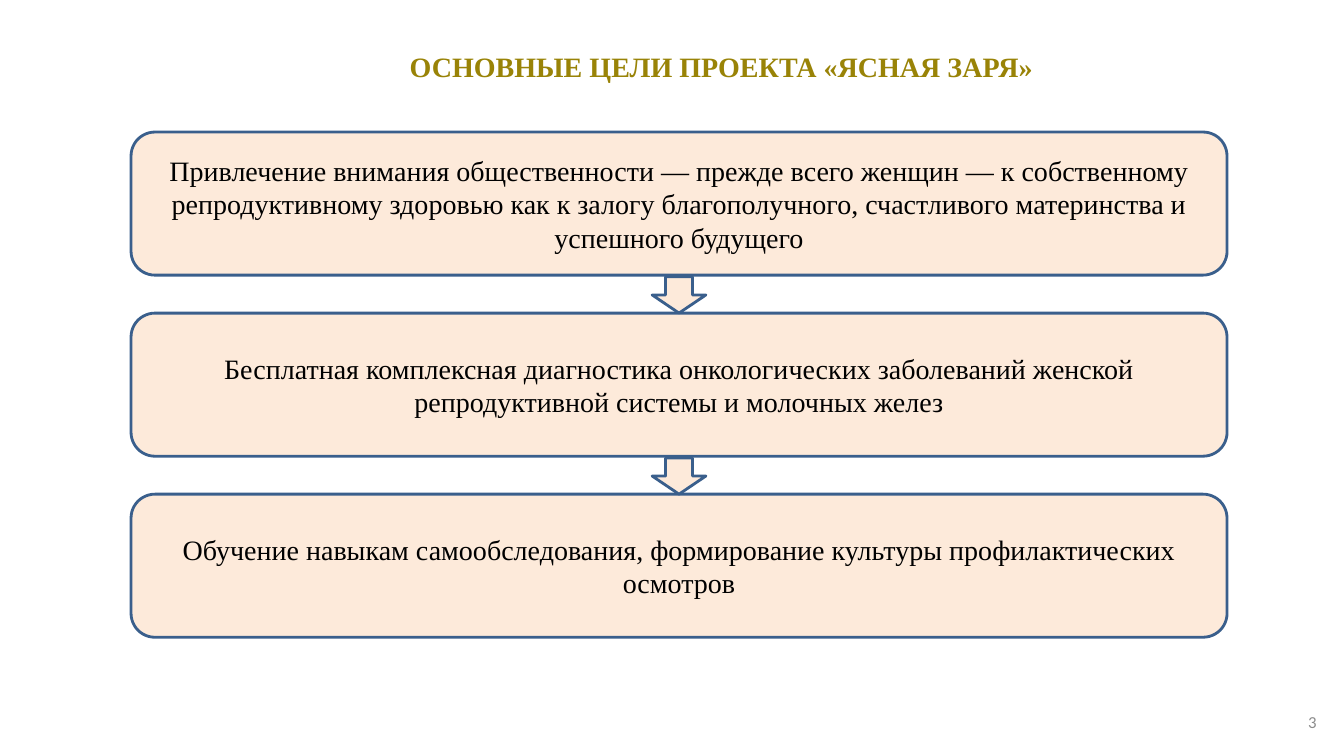
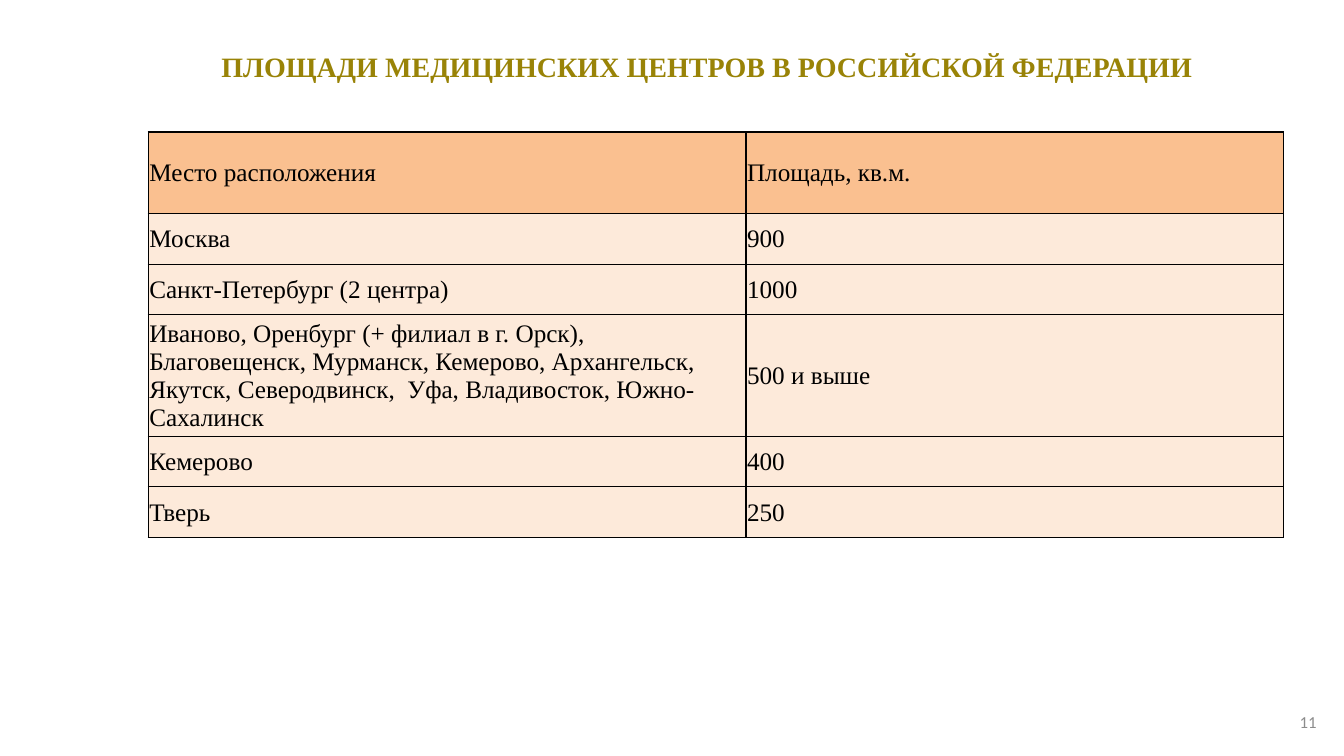
from lxml import etree
from pptx import Presentation, util as u
from pptx.dml.color import RGBColor
from pptx.enum import shapes, text
from pptx.oxml import ns

GOLD, PEACH, ORANGE = "998307", "FDEADA", "FAC090"
NAVY, BLACK, GREY = "3A5F8C", "000000", "8C8C8C"
SERIF, SANS = "Times New Roman", "Calibri"
CONTENT_TOP = 17.47


def rgb(hex_code):
    return RGBColor.from_string(hex_code)


class Deck:
    """Style and current slide; lengths are in a grid of 100 columns by 100 rows."""

    def __init__(self):
        self.prs = Presentation()
        self.prs.slide_width, self.prs.slide_height = u.Inches(13.33), u.Inches(7.5)
        self.slide = None

    def cols(self, count):
        return round(self.prs.slide_width * count / 100)

    def rows(self, count):
        return round(self.prs.slide_height * count / 100)

    def area(self, left, top, width, height):
        return self.cols(left), self.rows(top), self.cols(width), self.rows(height)

    def new_slide(self, title, number, title_width):
        self.slide = self.prs.slides.add_slide(self.prs.slide_layouts[6])
        heading = self.label(title, (7.28, 5.33, title_width, 6.13),
                             20, GOLD, bold=True)
        heading.auto_size = text.MSO_AUTO_SIZE.SHAPE_TO_FIT_TEXT
        heading.paragraphs[0].line_spacing = 1.15
        self.label(str(number), (75.38, 92.8, 23.33, 5.33), 12, GREY,
                   font=SANS, align=text.PP_ALIGN.RIGHT)

    def set_words(self, frame, words, size, color, font=SERIF, bold=False,
                  align=text.PP_ALIGN.CENTER):
        frame.text = words
        frame.word_wrap = True
        frame.vertical_anchor = text.MSO_ANCHOR.MIDDLE
        paragraph = frame.paragraphs[0]
        paragraph.alignment = align
        for run in paragraph.runs:
            run.font.name, run.font.size, run.font.bold = font, u.Pt(size), bold
            run.font.color.rgb = rgb(color)
        return frame

    def label(self, words, place, size, color, **style):
        box = self.slide.shapes.add_textbox(*self.area(*place))
        return self.set_words(box.text_frame, words, size, color, **style)

    def shape(self, kind, place):
        figure = self.slide.shapes.add_shape(kind, *self.area(*place))
        figure.shadow.inherit = False
        figure.fill.solid()
        figure.fill.fore_color.rgb = rgb(PEACH)
        figure.line.color.rgb = rgb(NAVY)
        figure.line.width = u.Pt(2)
        return figure

    def steps(self, goals, left, top, width, height, pitch):
        """Stack boxes at an equal pitch, with an arrow down to each next box."""
        arrow_width, arrow_height = 4, 4.8
        for index, goal in enumerate(goals):
            box_top = top + index * pitch
            box = self.shape(shapes.MSO_SHAPE.ROUNDED_RECTANGLE,
                             (left, box_top, width, height))
            self.set_words(box.text_frame, goal, 20, BLACK)
            if index:
                self.shape(shapes.MSO_SHAPE.DOWN_ARROW,
                           (left + (width - arrow_width) / 2, box_top - arrow_height,
                            arrow_width, arrow_height))

    def table(self, records, left, top, widths, heights):
        grid = self.slide.shapes.add_table(
            len(records), len(widths),
            *self.area(left, top, sum(widths), sum(heights))).table
        for column, width in zip(grid.columns, widths):
            column.width = self.cols(width)
        for row_index, (row, height) in enumerate(zip(grid.rows, heights)):
            row.height = self.rows(height)
            for cell, words in zip(row.cells, records[row_index]):
                self.cell(cell, words, PEACH if row_index else ORANGE)

    def cell(self, cell, words, fill):
        self.set_words(cell.text_frame, words, 18, BLACK, align=text.PP_ALIGN.LEFT)
        cell.vertical_anchor = text.MSO_ANCHOR.MIDDLE
        cell.margin_left = cell.margin_right = cell.margin_top = u.Inches(0.01)
        cell.margin_bottom = 0
        self.borders(cell)
        cell.fill.solid()
        cell.fill.fore_color.rgb = rgb(fill)

    def borders(self, cell):
        """Draw all four sides; must run before the fill, which follows in the XML."""
        properties = cell._tc.get_or_add_tcPr()
        for side in "LRTB":
            line = etree.SubElement(properties, ns.qn(f"a:ln{side}"), w=str(u.Pt(1)))
            paint = etree.SubElement(line, ns.qn("a:solidFill"))
            etree.SubElement(paint, ns.qn("a:srgbClr"), val=BLACK)


def main():
    deck = Deck()

    deck.new_slide("ОСНОВНЫЕ ЦЕЛИ ПРОЕКТА «ЯСНАЯ ЗАРЯ»", 3, 92.77)
    goals = [
        "Привлечение внимания общественности — прежде всего женщин — к собственному "
        "репродуктивному здоровью как к залогу благополучного, счастливого "
        "материнства и успешного будущего",
        "Бесплатная комплексная диагностика онкологических заболеваний женской "
        "репродуктивной системы и молочных желез",
        "Обучение навыкам самообследования, формирование культуры "
        "профилактических осмотров",
    ]
    deck.steps(goals, left=9.75, top=CONTENT_TOP, width=81.55, height=18.93, pitch=23.95)

    deck.new_slide("ПЛОЩАДИ МЕДИЦИНСКИХ ЦЕНТРОВ В РОССИЙСКОЙ ФЕДЕРАЦИИ", 11, 90.62)
    centres = [
        ("Место расположения", "Площадь, кв.м."),
        ("Москва", "900"),
        ("Санкт-Петербург (2 центра)", "1000"),
        ("Иваново, Оренбург (+ филиал в г. Орск), Благовещенск, Мурманск, Кемерово, "
         "Архангельск, Якутск, Северодвинск,  Уфа, Владивосток, Южно-Сахалинск",
         "500 и выше"),
        ("Кемерово", "400"),
        ("Тверь", "250"),
    ]
    plain_row = 6.67
    deck.table(centres, left=11.03, top=CONTENT_TOP, widths=[44.48, 39.98],
               heights=[10.8, plain_row, plain_row, 14.8, plain_row, plain_row])

    deck.prs.save("out.pptx")


if __name__ == "__main__":
    main()
